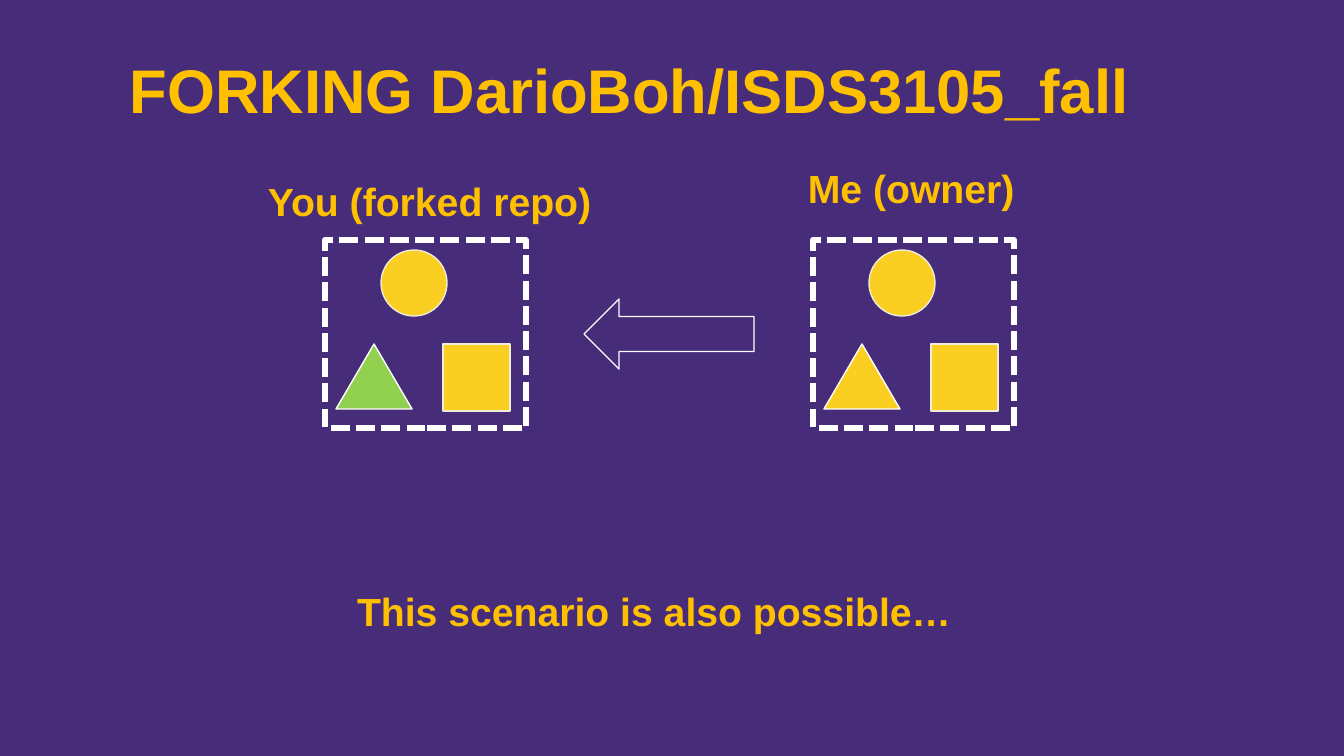
from pptx import Presentation
from pptx.dml.color import RGBColor
from pptx.enum.dml import MSO_LINE
from pptx.enum.shapes import MSO_SHAPE
from pptx.enum.text import MSO_ANCHOR, MSO_AUTO_SIZE, PP_ALIGN
from pptx.util import Pt

SCALE = 914400 / 100.8
HUES = {"back": "462C79", "text": "FFC000", "gold": "FBCF22",
        "green": "92D050", "cream": "EFECDA", "white": "FFFFFF"}


def px(num):
    """Turn pixels into EMU."""
    return round(num * SCALE)


def hue(name):
    """Look up a colour by name."""
    return RGBColor.from_string(HUES[name])


def write(shape, text, size, align=PP_ALIGN.CENTER, wrap=True):
    """Put one bold line of text in a shape."""
    frame = shape.text_frame
    frame.text = text
    frame.word_wrap = wrap
    frame.auto_size = MSO_AUTO_SIZE.NONE
    frame.vertical_anchor = MSO_ANCHOR.TOP
    para = frame.paragraphs[0]
    para.alignment = align
    para.line_spacing = 1.0
    font = para.font
    font.name, font.size, font.bold = "Arial", Pt(size), True
    font.color.rgb = hue("text")


def draw(slide, kind, box, fill, line, width=1):
    """Add an outlined shape, hollow when fill is None."""
    shape = slide.shapes.add_shape(kind, *map(px, box))
    shape.shadow.inherit = False
    if fill:
        shape.fill.solid()
        shape.fill.fore_color.rgb = hue(fill)
    else:
        shape.fill.background()
    shape.line.color.rgb = hue(line)
    shape.line.width = Pt(width)
    return shape


def head(slide, box):
    """Place the slide title."""
    title = slide.shapes.title
    title.left, title.top, title.width, title.height = map(px, box)
    write(title, "FORKING DarioBoh/ISDS3105_fall", 44)


def label(slide, box, text, align=PP_ALIGN.LEFT, wrap=False):
    """Add a caption in the given box."""
    write(slide.shapes.add_textbox(*map(px, box)), text, 28, align, wrap)


def repo(slide, box, tint):
    """Draw a repo frame with its three files; tint colours the triangle."""
    left, top, _, _ = box
    low = top + 104
    draw(slide, MSO_SHAPE.OVAL, (left + 56, top + 10, 66, 66), "gold", "cream")
    draw(slide, MSO_SHAPE.ISOSCELES_TRIANGLE, (left + 11, low, 76, 65), tint, "white")
    draw(slide, MSO_SHAPE.RECTANGLE, (left + 118, low, 67, 67), "gold", "cream")
    frame = draw(slide, MSO_SHAPE.RECTANGLE, box, None, "white", 4.5)
    frame.line.dash_style = MSO_LINE.SQUARE_DOT


def arrow(slide, box):
    """Point from the owner to the fork."""
    shape = draw(slide, MSO_SHAPE.RIGHT_ARROW, box, "back", "white")
    shape.rotation = 180


def main():
    """Build and save the slide."""
    deck = Presentation()
    deck.slide_width, deck.slide_height = px(1344), px(756)
    slide = deck.slides.add_slide(deck.slide_layouts[5])
    slide.background.fill.solid()
    slide.background.fill.fore_color.rgb = hue("back")
    head(slide, (65, 47, 1130, 85))
    repo(slide, (813, 240, 201, 188), "gold")
    repo(slide, (325, 240, 201, 188), "green")
    arrow(slide, (584, 299, 170, 70))
    label(slide, (798, 159, 230, 57), "Me (owner)")
    label(slide, (258, 172, 348, 57), "You (forked repo)")
    label(slide, (89, 582, 1130, 57), "This scenario is also possible…",
          PP_ALIGN.CENTER, True)
    deck.save("out.pptx")


if __name__ == "__main__":
    main()
